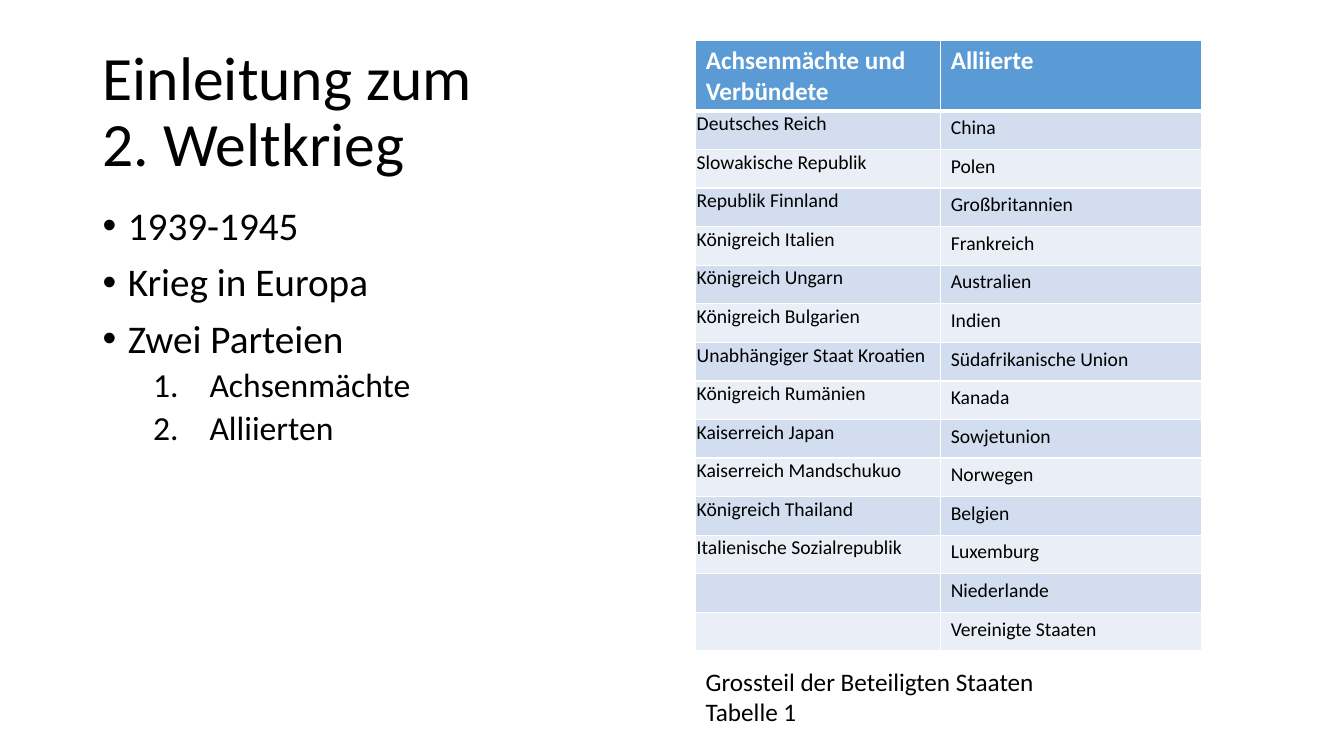
from dataclasses import dataclass
from itertools import zip_longest

from lxml import etree
from pptx import Presentation
from pptx.dml.color import RGBColor
from pptx.enum.text import MSO_ANCHOR
from pptx.oxml.ns import qn
from pptx.util import Inches, Pt

TOP = MSO_ANCHOR.TOP
MIDDLE = MSO_ANCHOR.MIDDLE
BLANK_LAYOUT = 6


@dataclass(frozen=True)
class Theme:
    """Colours and type sizes of the slide."""
    font: str = "Calibri"
    text: str = "000000"
    white: str = "FFFFFF"
    header: str = "5B9BD5"
    bands: tuple = ("D2DEEF", "EAEFF7")
    title_size: int = 44
    bullet_size: int = 28
    number_size: int = 24
    label_size: int = 18
    cell_size: int = 14


THEME = Theme()

BULLETS = ["1939-1945", "Krieg in Europa", "Zwei Parteien"]
PARTIES = ["Achsenmächte", "Alliierten"]
HEADINGS = ["Achsenmächte und Verbündete", "Alliierte"]
AXIS = [
    "Deutsches Reich", "Slowakische Republik", "Republik Finnland",
    "Königreich Italien", "Königreich Ungarn", "Königreich Bulgarien",
    "Unabhängiger Staat Kroatien", "Königreich Rumänien", "Kaiserreich Japan",
    "Kaiserreich Mandschukuo", "Königreich Thailand", "Italienische Sozialrepublik",
]
ALLIES = [
    "China", "Polen", "Großbritannien", "Frankreich", "Australien", "Indien",
    "Südafrikanische Union", "Kanada", "Sowjetunion", "Norwegen", "Belgien",
    "Luxemburg", "Niederlande", "Vereinigte Staaten",
]
COLUMN_WIDTHS = [2.43, 2.59]
TABLE_HEIGHT = 6.05
HEADER_HEIGHT = 0.69


def format_runs(paragraph, size, color=THEME.text, bold=False):
    """Apply the theme font to every run of a paragraph."""
    for run in paragraph.runs:
        run.font.name = THEME.font
        run.font.size = Pt(size)
        run.font.bold = bold
        run.font.color.rgb = RGBColor.from_string(color)


def add_text(slide, left, top, width, height, text, size, anchor=TOP, spacing=1.0):
    """Add a wrapping text box and return its paragraphs."""
    shape = slide.shapes.add_textbox(Inches(left), Inches(top), Inches(width), Inches(height))
    frame = shape.text_frame
    frame.word_wrap = True
    frame.vertical_anchor = anchor
    frame.text = text
    for paragraph in frame.paragraphs:
        paragraph.line_spacing = spacing
        format_runs(paragraph, size)
    return frame.paragraphs


def set_marker(paragraph, margin, hanging, tag, **attributes):
    """Give a paragraph a hanging indent and a bullet or number."""
    properties = paragraph._p.get_or_add_pPr()
    properties.set("marL", str(Inches(margin)))
    properties.set("indent", str(-Inches(hanging)))
    etree.SubElement(properties, qn("a:buFont"), typeface="Arial")
    etree.SubElement(properties, qn(tag), **attributes)


def add_outline(slide):
    """Add the bullets with the numbered parties below them."""
    text = "\n".join(BULLETS + PARTIES)
    paragraphs = add_text(slide, 0.92, 2, 5.67, 4.76, text, THEME.bullet_size, spacing=0.9)
    for index, paragraph in enumerate(paragraphs):
        if index < len(BULLETS):
            set_marker(paragraph, 0.25, 0.25, "a:buChar", char="•")
            paragraph.space_before = Pt(10 if index else 0)
        else:
            paragraph.level = 1
            set_marker(paragraph, 1.06, 0.56, "a:buAutoNum", type="arabicPeriod")
            paragraph.space_before = Pt(5)
            format_runs(paragraph, THEME.number_size)


def set_borders(cell, top, bottom):
    """Draw white borders around a cell, with widths in points."""
    properties = cell._tc.get_or_add_tcPr()
    for side, width in (("L", 1), ("R", 1), ("T", top), ("B", bottom)):
        line = etree.SubElement(properties, qn(f"a:ln{side}"), w=str(Pt(width)))
        fill = etree.SubElement(line, qn("a:solidFill"))
        etree.SubElement(fill, qn("a:srgbClr"), val=THEME.white)


def fill_cell(cell, text, row, column):
    """Write and style one table cell."""
    is_header = row == 0
    set_borders(cell, 3 if row == 1 else 1, 3 if is_header else 1)
    color = THEME.header if is_header else THEME.bands[(row - 1) % 2]
    cell.fill.solid()
    cell.fill.fore_color.rgb = RGBColor.from_string(color)
    if column == 0 and not is_header:
        cell.margin_left = cell.margin_top = cell.margin_right = Inches(0.01)
        cell.margin_bottom = 0
    cell.text_frame.text = text
    paragraph = cell.text_frame.paragraphs[0]
    if is_header:
        format_runs(paragraph, THEME.label_size, THEME.white, bold=True)
    else:
        format_runs(paragraph, THEME.cell_size)


def add_states_table(slide):
    """Add the table of the states on both sides."""
    rows = [HEADINGS, *zip_longest(AXIS, ALLIES, fillvalue="")]
    table = slide.shapes.add_table(
        len(rows), len(HEADINGS), Inches(6.9), Inches(0.4),
        Inches(sum(COLUMN_WIDTHS)), Inches(TABLE_HEIGHT),
    ).table
    for column, width in zip(table.columns, COLUMN_WIDTHS):
        column.width = Inches(width)
    body_height = (TABLE_HEIGHT - HEADER_HEIGHT) / len(ALLIES)
    for row, texts in enumerate(rows):
        table.rows[row].height = Inches(body_height if row else HEADER_HEIGHT)
        for column, text in enumerate(texts):
            fill_cell(table.cell(row, column), text, row, column)


def main():
    """Build the slide and save it."""
    presentation = Presentation()
    presentation.slide_width = Inches(13.33)
    presentation.slide_height = Inches(7.5)
    slide = presentation.slides.add_slide(presentation.slide_layouts[BLANK_LAYOUT])
    add_text(slide, 0.92, 0.4, 11.5, 1.45, "Einleitung zum\v2. Weltkrieg",
             THEME.title_size, MIDDLE, 0.9)
    add_outline(slide)
    add_states_table(slide)
    add_text(slide, 6.9, 6.56, 5.02, 0.71, "Grossteil der Beteiligten Staaten\nTabelle 1",
             THEME.label_size)
    presentation.save("out.pptx")


if __name__ == "__main__":
    main()
